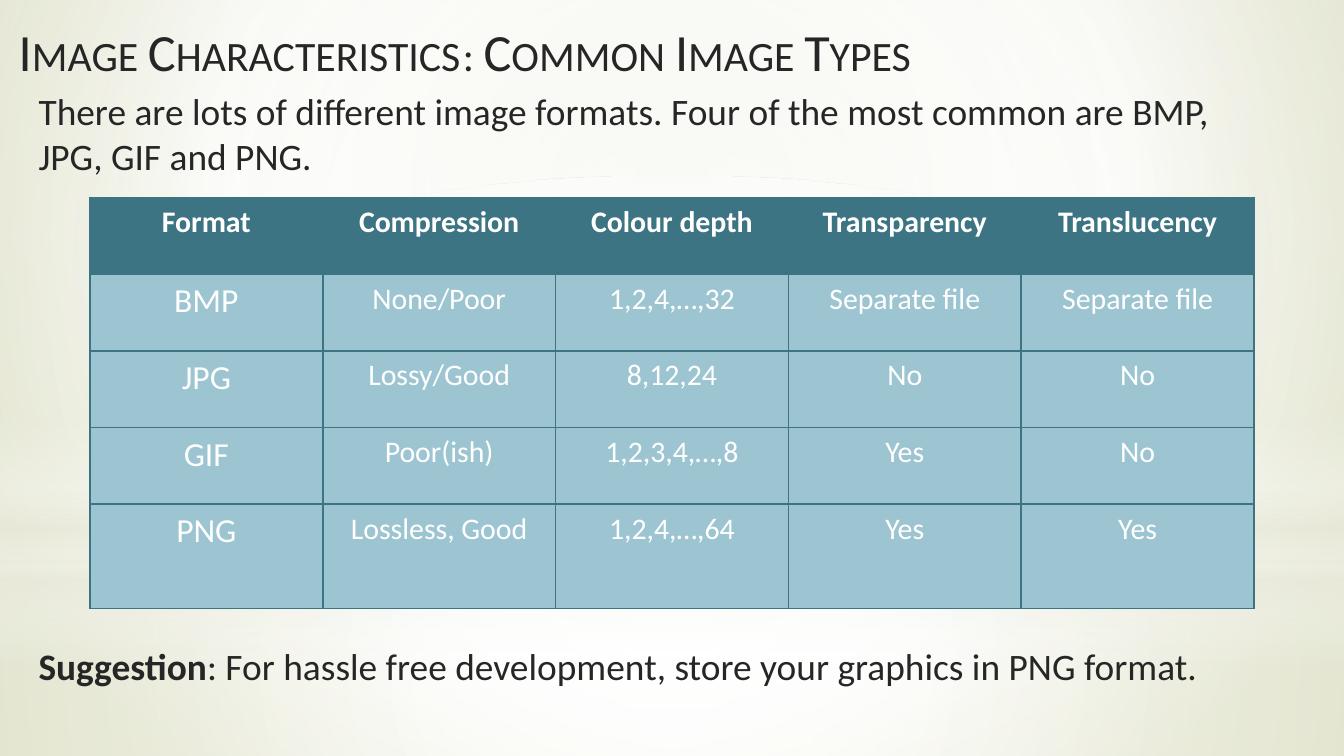
from lxml import etree
from pptx import Presentation
from pptx import util as u
from pptx.dml.color import RGBColor
from pptx.enum import shapes, text
from pptx.oxml.ns import qn

DARK_TEXT = "262626"
TEAL = "3C7483"
LIGHT_TEAL = "9DC5D1"
WHITE = "FFFFFF"
CREAM = "EAEBDE"


def format_runs(paragraph, size, colour, bold=False):
    for run in paragraph.runs:
        run.font.name = "Calibri"
        run.font.size = u.Pt(size)
        run.font.bold = bold
        run.font.color.rgb = RGBColor.from_string(colour)


def set_gradient(element, stops, focus=None):
    """Swap the first empty fill for a gradient: circular to focus, or vertical."""
    gradient = etree.Element(qn("a:gradFill"), rotWithShape="1")
    stop_list = etree.SubElement(gradient, qn("a:gsLst"))
    for position, colour, opacity in stops:
        stop = etree.SubElement(stop_list, qn("a:gs"), pos=str(position * 1000))
        colour_element = etree.SubElement(stop, qn("a:srgbClr"), val=colour)
        if opacity < 100:
            etree.SubElement(colour_element, qn("a:alpha"), val=str(opacity * 1000))
    if focus:
        path = etree.SubElement(gradient, qn("a:path"), path="circle")
        sides = {side: str(value * 1000) for side, value in zip("ltrb", focus)}
        etree.SubElement(path, qn("a:fillToRect"), **sides)
    else:
        etree.SubElement(gradient, qn("a:lin"), ang="5400000", scaled="0")
    empty_fill = next(element.iter(qn("a:noFill")))
    empty_fill.getparent().replace(empty_fill, gradient)


presentation = Presentation()
presentation.slide_width = u.Cm(25.4)
presentation.slide_height = u.Cm(14.29)
slide = presentation.slides.add_slide(presentation.slide_layouts[5])

# Background
slide.background.fill.background()
set_gradient(slide.element,
             [(0, "E3E5D1", 100), (60, WHITE, 100), (100, "CCD09F", 100)],
             (20, 10, 20, 60))

# Soft light over the background: kind, top, height, stops, focus
centre = (50, 50, 50, 50)
rectangle, oval = shapes.MSO_SHAPE.RECTANGLE, shapes.MSO_SHAPE.OVAL
glows = [
    (rectangle, 10.64, 3.65, [(0, WHITE, 91), (37, WHITE, 76), (100, CREAM, 79)], centre),
    (rectangle, 0, 10.64, [(0, WHITE, 89), (48, WHITE, 62), (100, CREAM, 79)], centre),
    (rectangle, 7.85, 4.77, [(0, WHITE, 0), (29, WHITE, 30), (45, CREAM, 40),
                             (55, WHITE, 26), (65, CREAM, 60), (100, WHITE, 0)], None),
    (oval, 3.33, 10.64, [(0, WHITE, 100), (56, WHITE, 0)], centre),
]
for kind, top, height, stops, focus in glows:
    shape = slide.shapes.add_shape(kind, 0, u.Cm(top), presentation.slide_width, u.Cm(height))
    shape.shadow.inherit = False
    shape.fill.background()
    shape.line.fill.background()
    set_gradient(shape.element, stops, focus)

# Title in two parts, in front of the glows
title = slide.shapes.title
slide.shapes.element.append(title.element)
subtitle = slide.shapes.add_textbox(0, 0, 0, 0)
for shape, left, wording in [(title, 0.1, "Image Characteristics"),
                             (subtitle, 8.5, ": Common Image Types")]:
    shape.left, shape.top = u.Cm(left), u.Cm(0.15)
    shape.width, shape.height = u.Cm(10.8), u.Cm(1.6)
    frame = shape.text_frame
    frame.text = wording
    frame.word_wrap = True
    frame.auto_size = text.MSO_AUTO_SIZE.NONE
    frame.vertical_anchor = text.MSO_ANCHOR.MIDDLE
    paragraph = frame.paragraphs[0]
    paragraph.alignment = text.PP_ALIGN.LEFT
    format_runs(paragraph, 28, DARK_TEXT)
    paragraph.runs[0].font._element.set("cap", "small")

# Format table
rows = [
    ["Format", "Compression", "Colour depth", "Transparency", "Translucency"],
    ["BMP", "None/Poor", "1,2,4,…,32", "Separate file", "Separate file"],
    ["JPG", "Lossy/Good", "8,12,24", "No", "No"],
    ["GIF", "Poor(ish)", "1,2,3,4,…,8", "Yes", "No"],
    ["PNG", "Lossless, Good", "1,2,4,…,64", "Yes", "Yes"],
]
table = slide.shapes.add_table(len(rows), len(rows[0]), u.Cm(1.7), u.Cm(3.73),
                               u.Cm(22), u.Cm(7.77)).table
for row in table.rows:
    row.height = u.Cm(1.45)
table.rows[4].height = u.Cm(1.97)

for row_index, values in enumerate(rows):
    header = row_index == 0
    for column_index, value in enumerate(values):
        cell = table.cell(row_index, column_index)
        cell.text_frame.text = value
        paragraph = cell.text_frame.paragraphs[0]
        paragraph.alignment = text.PP_ALIGN.CENTER
        size = 18 if column_index == 0 and not header else 16
        format_runs(paragraph, size, WHITE, bold=header)
        properties = cell._tc.get_or_add_tcPr()
        for side in ("a:lnL", "a:lnR", "a:lnT", "a:lnB"):
            border = etree.SubElement(properties, qn(side), w=str(u.Pt(1)))
            border_fill = etree.SubElement(border, qn("a:solidFill"))
            etree.SubElement(border_fill, qn("a:srgbClr"), val=TEAL)
        cell.fill.solid()
        cell.fill.fore_color.rgb = RGBColor.from_string(TEAL if header else LIGHT_TEAL)

# Introduction and suggestion
notes = [
    (1.55, 1.96, ["There are lots of different image formats. "
                  "Four of the most common are BMP, JPG, GIF and PNG."]),
    (12.04, 1.12, ["Suggestion",
                   ": For hassle free development, store your graphics in PNG format."]),
]
for top, height, parts in notes:
    box = slide.shapes.add_textbox(u.Cm(0.48), u.Cm(top), u.Cm(23.24), u.Cm(height))
    box.text_frame.word_wrap = True
    box.text_frame.auto_size = text.MSO_AUTO_SIZE.SHAPE_TO_FIT_TEXT
    paragraph = box.text_frame.paragraphs[0]
    for part in parts:
        paragraph.add_run().text = part
    format_runs(paragraph, 20, DARK_TEXT)
    paragraph.runs[0].font.bold = len(parts) > 1

presentation.save("out.pptx")
